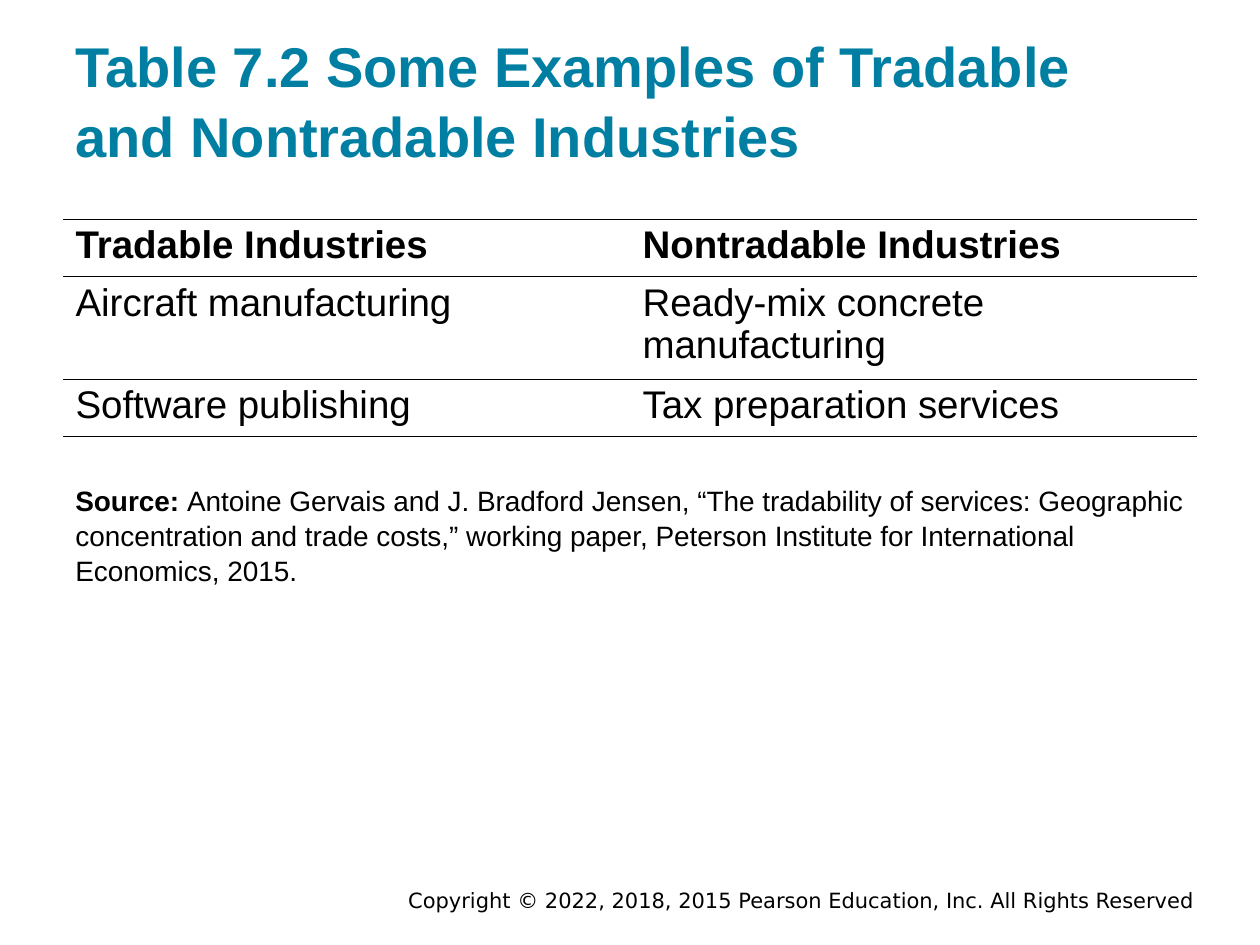
"""Build the slide listing tradable and nontradable industries."""
from dataclasses import dataclass

from lxml.etree import SubElement
from pptx import Presentation
from pptx.dml.color import RGBColor
from pptx.enum.text import MSO_ANCHOR as Anchor, PP_ALIGN as Align
from pptx.oxml.ns import qn
from pptx.util import Inches, Pt

BLACK = RGBColor(0, 0, 0)
TEAL = RGBColor(0x00, 0x7F, 0xA3)
OUTER_RULE, INNER_RULE = 1, 0.5
ROW_HEIGHTS = (0.44, 0.79, 0.44)
INDUSTRIES = (
    ("Tradable Industries", "Nontradable Industries"),
    ("Aircraft manufacturing", "Ready-mix concrete manufacturing"),
    ("Software publishing", "Tax preparation services"),
)


@dataclass(frozen=True)
class Passage:
    runs: tuple[tuple[str, bool], ...]
    left: float
    top: float
    width: float
    height: float
    size: float
    color: RGBColor = BLACK
    font: str = "Arial"
    anchor: Anchor = Anchor.TOP
    align: Align = Align.LEFT
    inset: float = 0.1
    spacing: float = 1.04


PASSAGES = (
    Passage((("Copyright © 2022, 2018, 2015 Pearson Education, Inc. All Rights Reserved", False),),
            1.75, 7.03, 7.83, 0.22, 12, font="DejaVu Sans",
            anchor=Anchor.MIDDLE, align=Align.RIGHT, inset=0.05, spacing=1.0),
    Passage((("Table 7.2 Some Examples of Tradable and Nontradable Industries", True),),
            0.5, 0.24, 9, 1.2, 32, TEAL, anchor=Anchor.BOTTOM),
    Passage((("Source: ", True),
             ("Antoine Gervais and J. Bradford Jensen, “The tradability of services: "
              "Geographic concentration and trade costs,” working paper, Peterson Institute "
              "for International Economics, 2015.", False)),
            0.5, 3.73, 9, 1.01, 16),
)


def style_font(font, name: str, size: float, color: RGBColor, bold: bool) -> None:
    font.name, font.size, font.bold = name, Pt(size), bold
    font.color.rgb = color


def add_passage(slide, passage: Passage) -> None:
    box = slide.shapes.add_textbox(Inches(passage.left), Inches(passage.top),
                                   Inches(passage.width), Inches(passage.height))
    frame = box.text_frame
    frame.word_wrap = True
    frame.vertical_anchor = passage.anchor
    frame.margin_left = frame.margin_right = Inches(0.1)
    frame.margin_top = frame.margin_bottom = Inches(passage.inset)
    paragraph = frame.paragraphs[0]
    paragraph.alignment = passage.align
    paragraph.line_spacing = passage.spacing
    for text, bold in passage.runs:
        run = paragraph.add_run()
        run.text = text
        style_font(run.font, passage.font, passage.size, passage.color, bold)


def set_rules(cell, top: float, bottom: float) -> None:
    properties = cell._tc.get_or_add_tcPr()
    sides = (("a:lnL", 0), ("a:lnR", 0), ("a:lnT", top), ("a:lnB", bottom))
    for index, (side, weight) in enumerate(sides):
        rule = SubElement(properties, qn(side), w=str(Pt(weight)))
        if weight:
            fill = SubElement(rule, qn("a:solidFill"))
            SubElement(fill, qn("a:srgbClr"), val=str(BLACK))
        else:
            SubElement(rule, qn("a:noFill"))
        properties.insert(index, rule)


def add_industry_table(slide) -> None:
    table = slide.shapes.add_table(len(INDUSTRIES), 2, Inches(0.5), Inches(1.74),
                                   Inches(9), Inches(sum(ROW_HEIGHTS))).table
    table.horz_banding = False
    last = len(INDUSTRIES) - 1
    for row, names in enumerate(INDUSTRIES):
        table.rows[row].height = Inches(ROW_HEIGHTS[row])
        for column, name in enumerate(names):
            cell = table.cell(row, column)
            cell.fill.background()
            set_rules(cell, OUTER_RULE if row == 0 else INNER_RULE,
                      OUTER_RULE if row == last else INNER_RULE)
            cell.text_frame.text = name
            paragraph = cell.text_frame.paragraphs[0]
            paragraph.line_spacing = 0.97
            style_font(paragraph.runs[0].font, "Arial", 22, BLACK, row == 0)


def main() -> None:
    deck = Presentation()
    deck.slide_width, deck.slide_height = Inches(10), Inches(7.5)
    slide = deck.slides.add_slide(deck.slide_layouts[6])
    for passage in PASSAGES:
        add_passage(slide, passage)
    add_industry_table(slide)
    deck.save("out.pptx")


if __name__ == "__main__":
    main()
